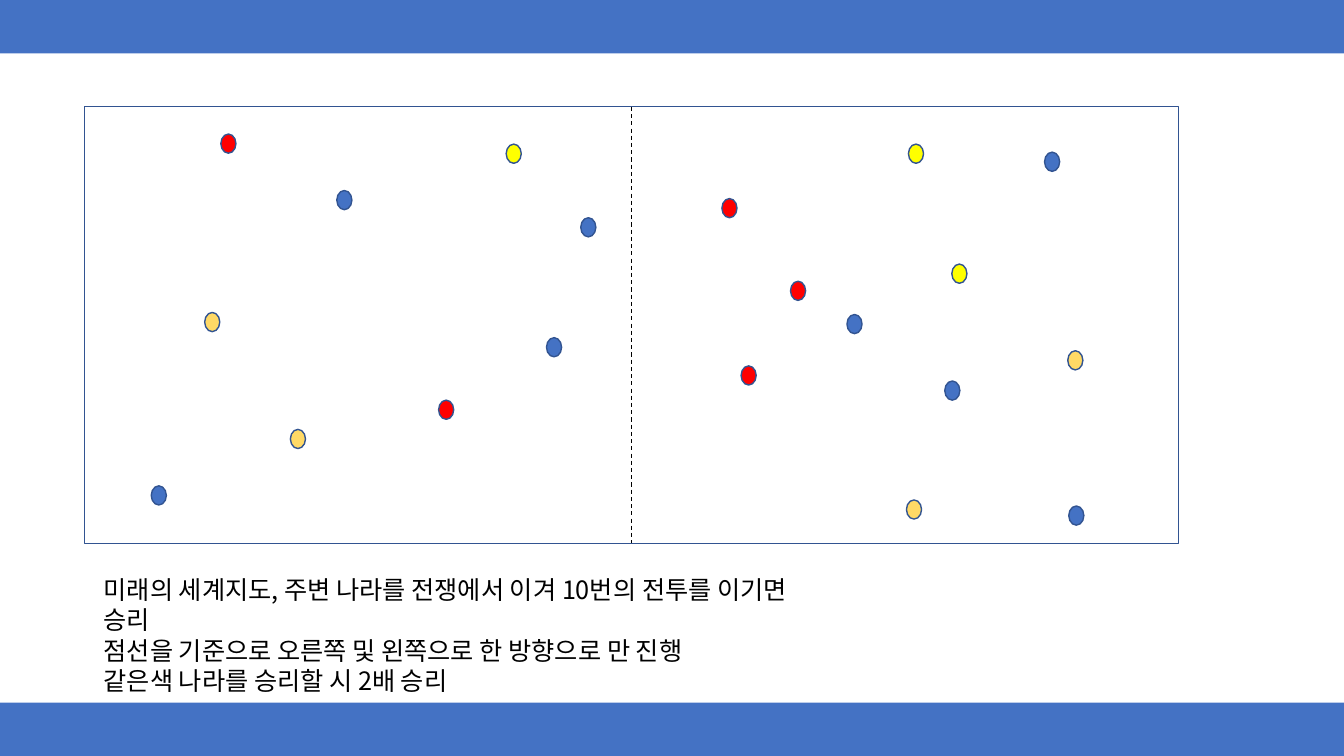
from pptx import Presentation
from pptx.dml.color import RGBColor
from pptx.enum.dml import MSO_LINE
from pptx.enum.shapes import MSO_CONNECTOR, MSO_SHAPE
from pptx.enum.text import MSO_AUTO_SIZE
from pptx.oxml.ns import qn
from pptx.util import Inches, Pt

RECTANGLE, OVAL = MSO_SHAPE.RECTANGLE, MSO_SHAPE.OVAL
STRAIGHT, DASH = MSO_CONNECTOR.STRAIGHT, MSO_LINE.DASH
GROW = MSO_AUTO_SIZE.SHAPE_TO_FIT_TEXT
TOP, BOTTOM = 0, 2

WIDTH, HEIGHT = 13.33, 7.5
BAND_HEIGHT = 0.53
DOT_WIDTH, DOT_HEIGHT = 0.15, 0.19
FONT = "Noto Sans CJK KR"
BLUE, OUTLINE = "4472C4", "325491"

# Left and top of every country, by colour
COUNTRIES = {
    "FF0000": [(7.84, 2.79), (4.35, 3.97), (2.19, 1.33), (7.16, 1.97), (7.35, 3.63)],
    "FFFF00": [(9.01, 1.43), (5.02, 1.43), (9.44, 2.62)],
    "FFD966": [(8.99, 4.96), (10.59, 3.48), (2.03, 3.1), (2.88, 4.26)],
    BLUE: [(1.5, 4.82), (8.4, 3.12), (5.42, 3.35), (5.76, 2.16), (10.36, 1.51),
           (9.37, 3.78), (10.6, 5.02), (3.34, 1.89)],
}
RULES = [
    "미래의 세계지도, 주변 나라를 전쟁에서 이겨 10번의 전투를 이기면 승리",
    "점선을 기준으로 오른쪽 및 왼쪽으로 한 방향으로 만 진행",
    "같은색 나라를 승리할 시 2배 승리",
]

deck = Presentation()
deck.slide_width, deck.slide_height = Inches(WIDTH), Inches(HEIGHT)
page = deck.slides.add_slide(deck.slide_layouts[6])


def color(value):
    return RGBColor.from_string(value)


def add_filled(kind, left, top, width, height, fill, outline=None):
    """Add a flat shape, measured in inches, with an optional 1 pt outline."""
    shape = page.shapes.add_shape(kind, *map(Inches, (left, top, width, height)))
    shape.shadow.inherit = False
    shape.fill.solid()
    shape.fill.fore_color.rgb = color(fill)
    if outline:
        shape.line.color.rgb = color(outline)
        shape.line.width = Pt(1)
    else:
        shape.line.fill.background()
    return shape


for band_top in (0, HEIGHT - BAND_HEIGHT):
    add_filled(RECTANGLE, 0, band_top, WIDTH, BAND_HEIGHT, BLUE)

world_map = add_filled(RECTANGLE, 0.84, 1.06, 10.85, 4.33, "FFFFFF", OUTLINE)

for fill, places in COUNTRIES.items():
    for left, top in places:
        add_filled(OVAL, left, top, DOT_WIDTH, DOT_HEIGHT, fill, OUTLINE)

box = page.shapes.add_textbox(*map(Inches, (0.93, 5.65, 7.15, 1.31)))
frame = box.text_frame
frame.word_wrap = True
frame.auto_size = GROW
for index, rule in enumerate(RULES):
    para = frame.add_paragraph() if index else frame.paragraphs[0]
    span = para.add_run()
    span.text = rule
    for name, value in {"name": FONT, "size": Pt(18)}.items():
        setattr(span.font, name, value)
    span.font.color.rgb = color("000000")
    east_asian = span._r.get_or_add_rPr().makeelement(qn("a:ea"), {"typeface": FONT})
    span._r.rPr.find(qn("a:latin")).addnext(east_asian)

divider = page.shapes.add_connector(STRAIGHT, 0, 0, 0, 0)
divider.begin_connect(world_map, TOP)
divider.end_connect(world_map, BOTTOM)
divider.line.color.rgb = color("000000")
divider.line.width = Pt(0.75)
divider.line.dash_style = DASH
properties = divider._element.spPr
properties.append(properties.makeelement(qn("a:effectLst"), {}))

deck.save("out.pptx")
